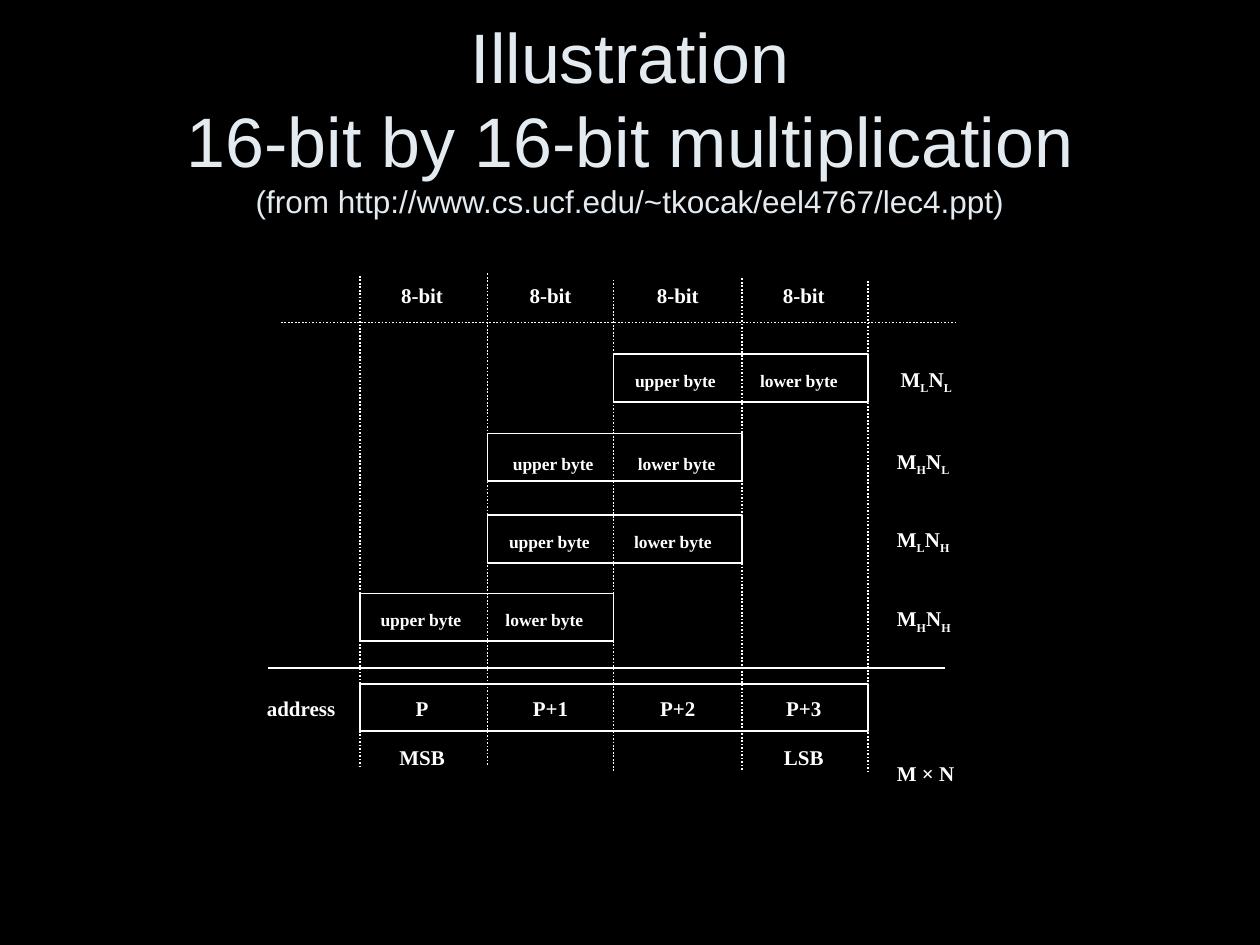
from copy import deepcopy
from dataclasses import dataclass

from lxml import etree
from pptx import Presentation
from pptx.dml.color import RGBColor
from pptx.enum import dml, shapes, text as txt
from pptx.oxml.ns import qn
from pptx.util import Inches, Pt

COLORS = {"back": "000000", "ink": "FFFFFF", "title": "E3EBF1"}
SERIF = "Times New Roman"
EDGES = [2.86, 3.87, 4.87, 5.89, 6.89]
TOPS = [2.19, 2.17, 2.22, 2.21, 2.23]
CENTERS = [3.35, 4.37, 5.38, 6.38]


@dataclass
class Product:
    name: str
    col: int
    top: float
    text_left: float
    text_mid: float
    name_left: float
    name_top: float


@dataclass
class Label:
    text: str
    center: float
    mid: float


PRODUCTS = [
    Product("M_LN_L", 2, 2.81, 4.84, 3.02, 7.05, 2.86),
    Product("M_HN_L", 1, 3.44, 3.87, 3.68, 7.02, 3.51),
    Product("M_LN_H", 1, 4.09, 3.84, 4.30, 7.02, 4.13),
    Product("M_HN_H", 0, 4.71, 2.82, 4.92, 7.02, 4.76),
]
LABELS = [
    *(Label("8-bit", x, 2.34) for x in CENTERS),
    *(Label(t, x, 5.62) for t, x in zip(["P", "P+1", "P+2", "P+3"], CENTERS)),
    Label("address", 2.39, 5.62),
    Label("MSB", CENTERS[0], 6.01),
    Label("LSB", CENTERS[-1], 6.01),
]


def color(name: str) -> RGBColor:
    return RGBColor.from_string(COLORS[name])


def add_run(para, text: str, size: float, font: str = SERIF,
            ink: str = "ink", bold: bool = True, sub: bool = False):
    run = para.add_run()
    run.text = text
    run.font.size = Pt(size)
    run.font.name = font
    run.font.bold = bold
    run.font.color.rgb = color(ink)
    if sub:
        run._r.get_or_add_rPr().set("baseline", "-25000")
    return run


def put_text(slide, text: str, left: float, top: float, width: float,
             height: float = 0.3, size: float = 12,
             align=txt.PP_ALIGN.CENTER) -> None:
    """Place one line of text; an underscore makes the next letter a subscript."""
    box = slide.shapes.add_textbox(
        Inches(left), Inches(top), Inches(width), Inches(height))
    frame = box.text_frame
    frame.word_wrap = False
    para = frame.paragraphs[0]
    para.alignment = align
    first, *rest = text.split("_")
    add_run(para, first, size)
    for part in rest:
        add_run(para, part[0], size, sub=True)
        if part[1:]:
            add_run(para, part[1:], size)


def put_label(slide, label: Label, width: float = 0.9,
              height: float = 0.3, size: float = 12) -> None:
    put_text(slide, label.text, label.center - width / 2,
             label.mid - height / 2, width, height, size)


def draw_box(slide, left: float, top: float, right: float,
             height: float = 0.38) -> None:
    box = slide.shapes.add_shape(
        shapes.MSO_SHAPE.RECTANGLE, Inches(left), Inches(top),
        Inches(right - left), Inches(height))
    box.shadow.inherit = False
    box.fill.background()
    box.line.color.rgb = color("ink")
    box.line.width = Pt(1)


def draw_line(slide, x1: float, y1: float, x2: float, y2: float,
              dotted: bool = True) -> None:
    line = slide.shapes.add_connector(
        shapes.MSO_CONNECTOR.STRAIGHT,
        Inches(x1), Inches(y1), Inches(x2), Inches(y2))
    line.line.color.rgb = color("ink")
    line.line.width = Pt(1)
    if dotted:
        line.line.dash_style = dml.MSO_LINE.ROUND_DOT
    etree.SubElement(line._element.spPr, qn("a:effectLst"))


def set_title(slide) -> None:
    title = slide.shapes.title
    title.left, title.top = Inches(0.5), Inches(0.3)
    title.width, title.height = Inches(9), Inches(1.25)
    frame = title.text_frame
    frame.auto_size = txt.MSO_AUTO_SIZE.NONE
    frame.vertical_anchor = txt.MSO_ANCHOR.MIDDLE
    para = frame.paragraphs[0]
    para.alignment = txt.PP_ALIGN.CENTER
    style = {"font": "Arial", "ink": "title", "bold": False}
    for line in ["Illustration", "16-bit by 16-bit multiplication"]:
        run = add_run(para, line, 40, **style)
        para.add_line_break()
        para._p[-1].append(deepcopy(run._r.rPr))
    add_run(para, "(from http://www.cs.ucf.edu/~tkocak/eel4767/lec4.ppt)",
            18, **style)


def draw_product(slide, item: Product) -> None:
    draw_box(slide, EDGES[item.col], item.top, EDGES[item.col + 2])
    for text, shift in [("upper byte", 0.52), ("lower byte", 1.5)]:
        label = Label(text, item.text_left + shift, item.text_mid)
        put_label(slide, label, height=0.27, size=10)
    put_text(slide, item.name, item.name_left, item.name_top, 0.66, 0.33,
             align=txt.PP_ALIGN.LEFT)


def main() -> None:
    deck = Presentation()
    deck.slide_width, deck.slide_height = Inches(10), Inches(7.5)
    slide = deck.slides.add_slide(deck.slide_layouts[5])
    slide.background.fill.solid()
    slide.background.fill.fore_color.rgb = color("back")

    set_title(slide)
    for item in PRODUCTS:
        draw_product(slide, item)
    draw_line(slide, 2.13, 5.3, 7.5, 5.3, dotted=False)
    draw_box(slide, EDGES[0], 5.43, EDGES[-1], 0.37)
    for x, top in zip(EDGES, TOPS):
        draw_line(slide, x, top, x, top + 3.9)
    draw_line(slide, 2.23, 2.56, 7.6, 2.56)
    for label in LABELS:
        put_label(slide, label)
    put_text(slide, "M × N", 7.02, 5.99, 0.66, align=txt.PP_ALIGN.LEFT)
    deck.save("out.pptx")


if __name__ == "__main__":
    main()
